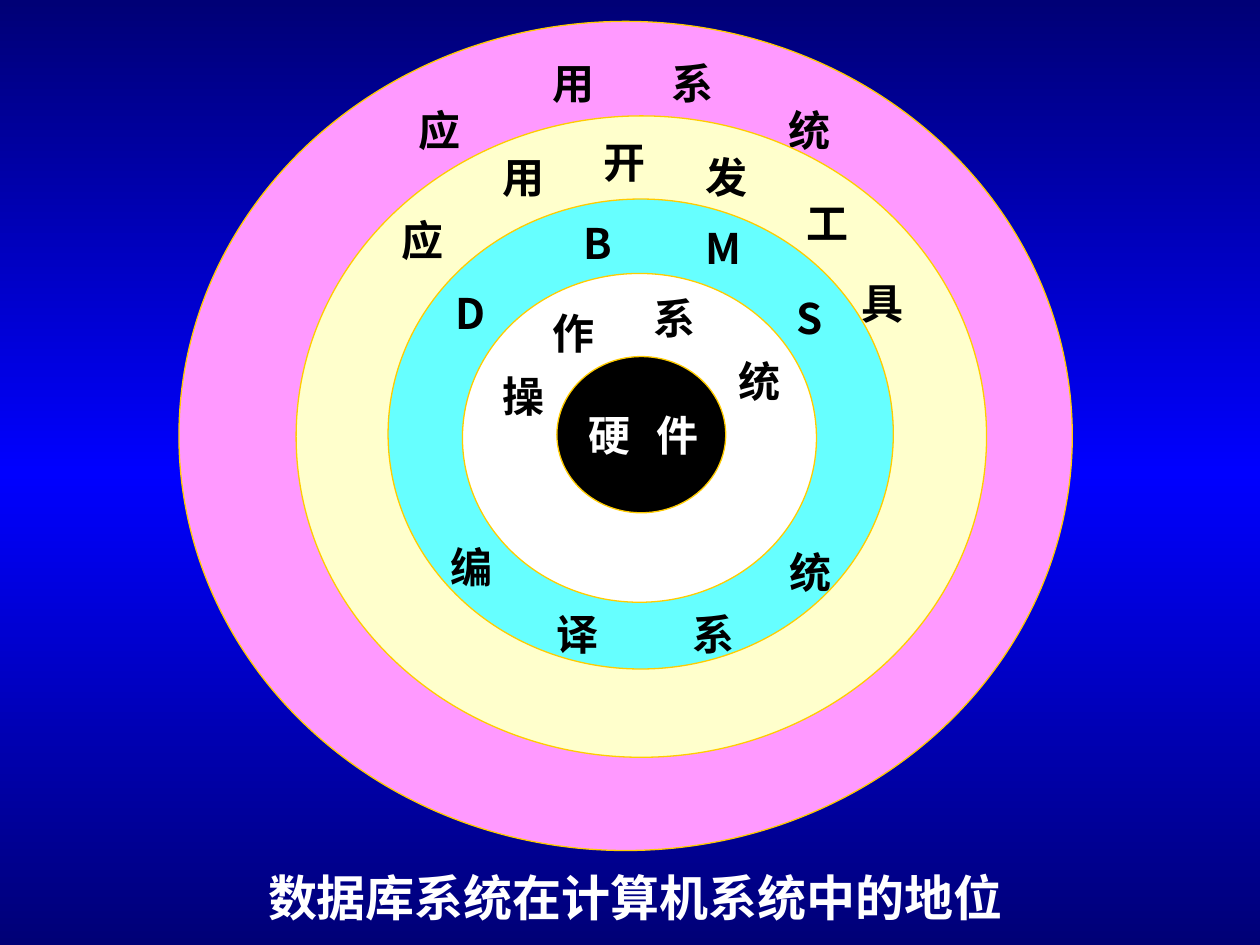
from copy import deepcopy

from lxml import etree
from pptx import Presentation
from pptx.dml.color import RGBColor
from pptx.enum.shapes import MSO_SHAPE
from pptx.enum.text import MSO_ANCHOR, PP_ALIGN
from pptx.oxml.ns import qn
from pptx.util import Inches, Pt

ELLIPSE = MSO_SHAPE.OVAL
MIDDLE = MSO_ANCHOR.MIDDLE
CENTER = PP_ALIGN.CENTER

COLORS = {
    "navy": "000076", "blue": "0000FF", "gold": "FFCC00",
    "pink": "FF99FF", "cream": "FFFFCC", "cyan": "66FFFF",
    "white": "FFFFFF", "black": "000000",
}
FONT = "Noto Sans CJK SC"
COLS, ROWS = 100, 75
LABEL_W, LABEL_H = 6.7, 4

# Each ring: fill, text colour, box (left, top, width, height) and its
# labels (text, left, top), all in grid columns and rows
RINGS = [
    ("pink", "black", (14.2, 1.7, 70.9, 65.8),
     [("应", 31.5, 8.3), ("用", 42.2, 4.6), ("系", 51.6, 4.6), ("统", 60.9, 8.3)]),
    ("cream", "black", (23.5, 9.2, 54.8, 50.9),
     [("应", 30.2, 17), ("用", 38.2, 12), ("开", 46.2, 10.8),
      ("发", 54.3, 12), ("工", 62.3, 15.7), ("具", 66.7, 22)]),
    ("cyan", "black", (30.8, 15.8, 40.1, 37.3),
     [("D", 34, 22.8), ("B", 44.1, 17.3), ("M", 54.1, 17.7), ("S", 60.9, 23.2),
      ("编", 34.1, 43), ("译", 42.5, 48.3), ("系", 53.3, 48.3), ("统", 61, 43.4)]),
    ("white", "black", (36.7, 21.7, 28.1, 26.1),
     [("操", 38.2, 29.4), ("作", 42.2, 24.4), ("系", 50.2, 23.2), ("统", 56.9, 28.2)]),
    ("black", "white", (44.2, 28.3, 13.4, 12.4),
     [("硬", 45, 32.5), ("件", 50.4, 32.5)]),
]


def rgb(name):
    return RGBColor.from_string(COLORS[name])


class Deck:
    def __init__(self):
        self.prs = Presentation()
        self.prs.slide_width, self.prs.slide_height = Inches(10), Inches(7.5)
        self.s = self.prs.slides.add_slide(self.prs.slide_layouts[6])

    def box(self, x, y, w, h):
        cw, rh = self.prs.slide_width / COLS, self.prs.slide_height / ROWS
        return [round(v) for v in (x * cw, y * rh, w * cw, h * rh)]

    def background(self, *names):
        fill = self.s.background.fill
        fill.gradient()
        fill.gradient_angle = 270
        stops = next(self.s._element.iter(qn("a:gsLst")))
        for _ in range(len(names) - len(stops)):
            stops.append(deepcopy(stops[-1]))
        for i, (stop, name) in enumerate(zip(fill.gradient_stops, names)):
            stop.position = i / (len(names) - 1)
            stop.color.rgb = rgb(name)

    def ellipse(self, shapes, box, fill):
        sp = shapes.add_shape(ELLIPSE, *self.box(*box))
        sp.shadow.inherit = False
        sp.fill.solid()
        sp.fill.fore_color.rgb = rgb(fill)
        sp.line.color.rgb = rgb("gold")
        sp.line.width = Pt(0.75)

    def text(self, shapes, text, box, color, size=24, inset=(0, 0)):
        tf = shapes.add_textbox(*self.box(*box)).text_frame
        dx, dy = (Inches(v) for v in inset)
        frame = {"word_wrap": True, "vertical_anchor": MIDDLE,
                 "margin_left": dx, "margin_right": dx,
                 "margin_top": dy, "margin_bottom": dy}
        for key, value in frame.items():
            setattr(tf, key, value)
        p = tf.paragraphs[0]
        p.alignment = CENTER
        r = p.add_run()
        r.text = text
        for key, value in {"size": Pt(size), "bold": True, "name": FONT}.items():
            setattr(r.font, key, value)
        r.font.color.rgb = rgb(color)
        # East Asian typeface
        etree.SubElement(r.font._element, qn("a:ea"), typeface=FONT)

    def ring(self, fill, color, box, labels):
        shapes = self.s.shapes.add_group_shape().shapes
        self.ellipse(shapes, box, fill)
        for text, x, y in labels:
            self.text(shapes, text, (x, y, LABEL_W, LABEL_H), color)


def main():
    deck = Deck()
    deck.background("navy", "blue", "navy")
    # Caption
    deck.text(deck.s.shapes, "数据库系统在计算机系统中的地位",
              (15.8, 68.3, 69.2, 5.7), "white", size=28, inset=(0.1, 0.05))
    # Rings from the outside in
    for ring in RINGS:
        deck.ring(*ring)
    deck.prs.save("out.pptx")


if __name__ == "__main__":
    main()
